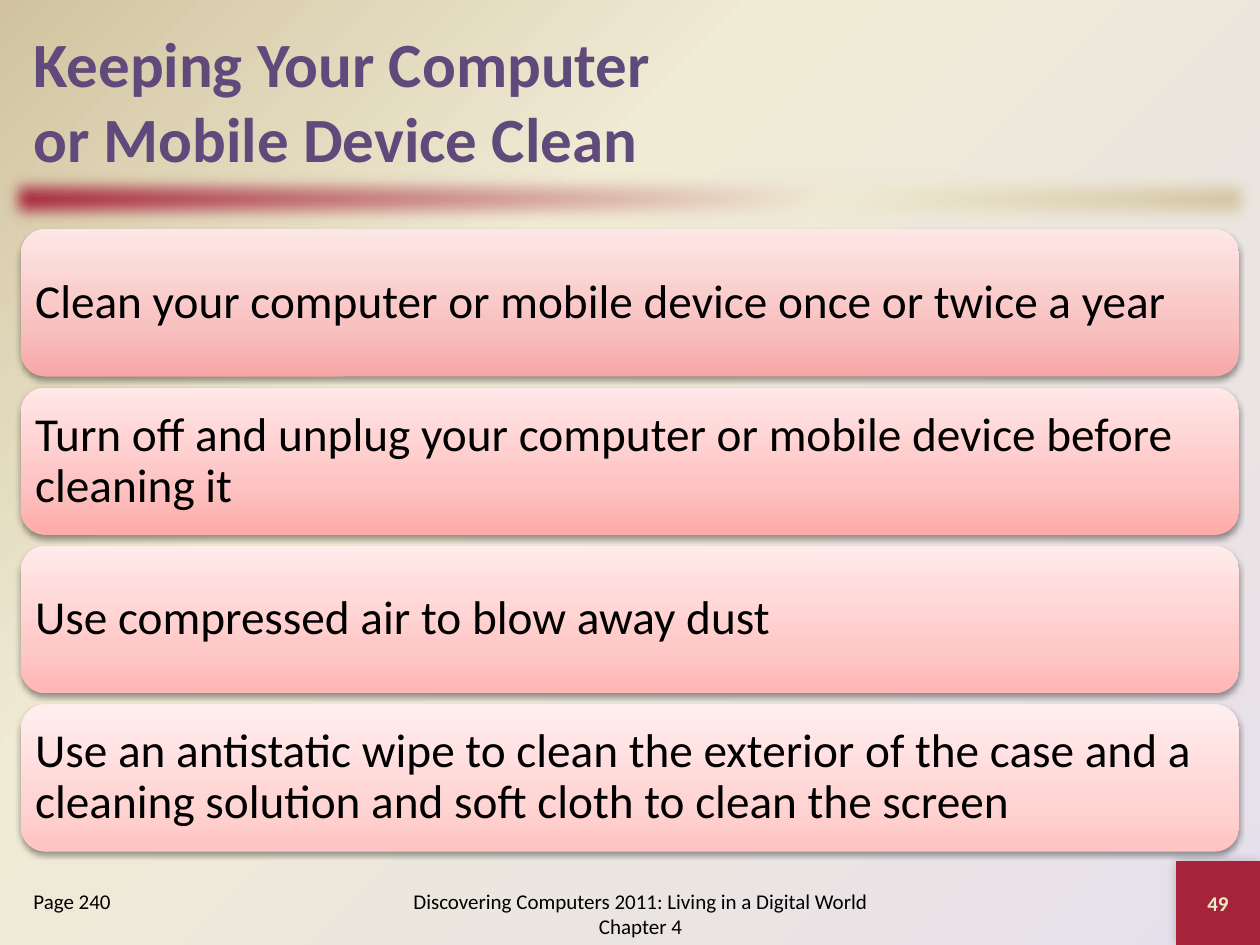
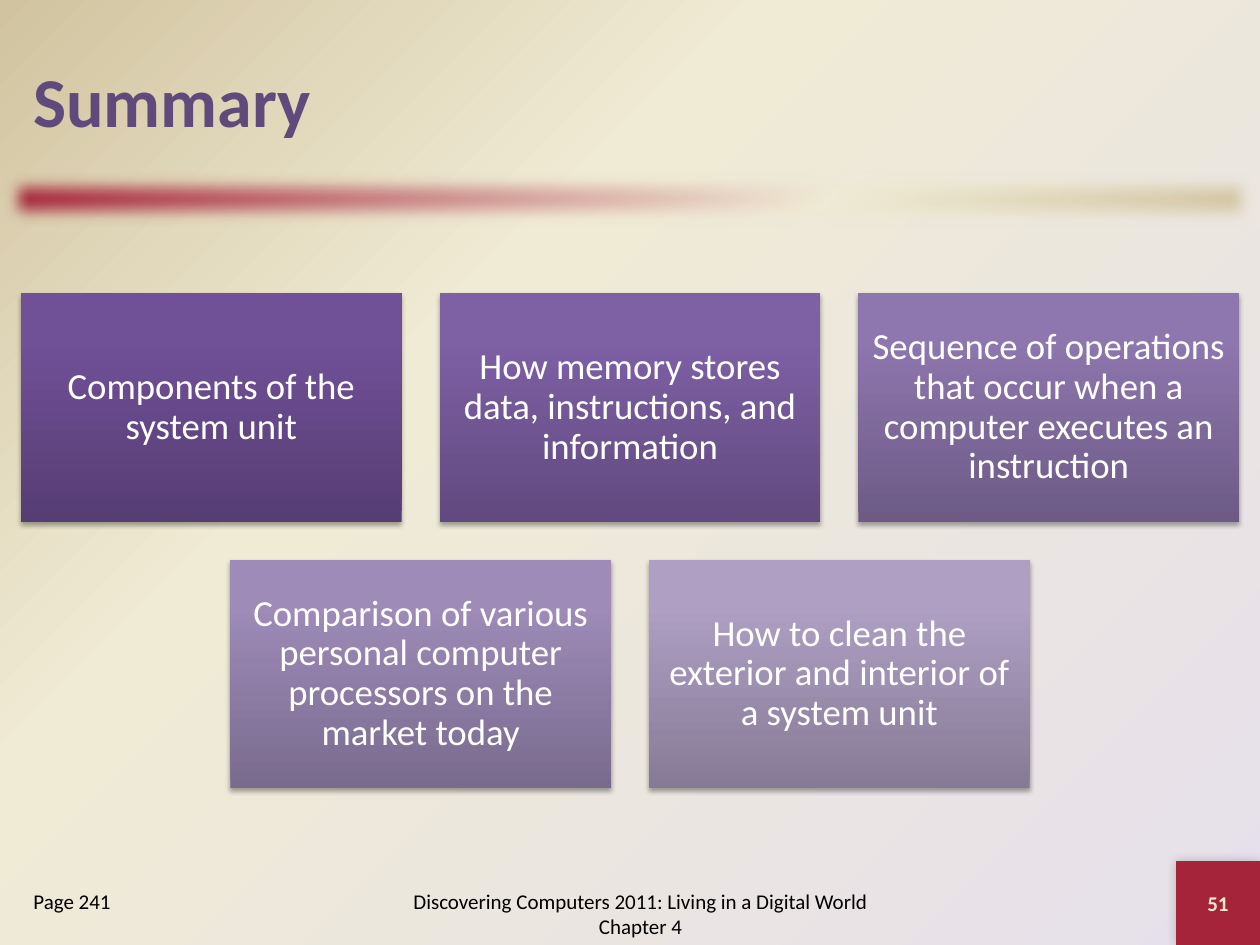
from dataclasses import dataclass

from lxml import etree
from pptx import Presentation
from pptx.dml.color import RGBColor
from pptx.enum.shapes import MSO_SHAPE
from pptx.enum.text import MSO_ANCHOR, PP_ALIGN
from pptx.oxml.ns import qn
from pptx.util import Pt

RECTANGLE, ROUNDED = MSO_SHAPE.RECTANGLE, MSO_SHAPE.ROUNDED_RECTANGLE
TOP, MIDDLE = MSO_ANCHOR.TOP, MSO_ANCHOR.MIDDLE
LEFT, CENTER = PP_ALIGN.LEFT, PP_ALIGN.CENTER

# Shared look
FONT = "Calibri"
PURPLE, RED, CREAM, TAN, LILAC = "604A7B", "A52439", "F0EBD5", "D1C39F", "E6E0EC"
BLACK, WHITE, NUMBER_COLOR = "000000", "FFFFFF", "EEEBCA"
FOOTER = "Discovering Computers 2011: Living in a Digital World Chapter 4"
PAGE_WIDTH, PAGE_HEIGHT = 720, 540
MARGIN = 12
CONTENT_WIDTH = PAGE_WIDTH - 2 * MARGIN


@dataclass
class Area:
    left: float
    top: float
    width: float
    height: float

    def lengths(self) -> tuple:
        return Pt(self.left), Pt(self.top), Pt(self.width), Pt(self.height)


@dataclass
class TextStyle:
    size: float
    color: str = BLACK
    bold: bool = False
    align: PP_ALIGN = LEFT
    anchor: MSO_ANCHOR = MIDDLE
    spacing: float = 1.0


@dataclass
class Shadow:
    opacity: int
    blur: float
    distance: float
    direction: int


@dataclass
class Panel:
    text: str
    shades: tuple  # bottom, middle and top colours


BODY = TextStyle(27, spacing=0.9)
CARD = TextStyle(21, WHITE, align=CENTER, spacing=0.9)
FOOTER_STYLE = TextStyle(12, align=CENTER)
PAGE_STYLE = TextStyle(12, anchor=TOP)
NUMBER_STYLE = TextStyle(12, NUMBER_COLOR, bold=True, align=CENTER)

CLEANING_TIPS = [
    Panel("Clean your computer or mobile device once or twice a year",
          ("F6A7A6", "F8C2C1", "FDE7E6")),
    Panel("Turn off and unplug your computer or mobile device before cleaning it",
          ("FEABA9", "FDC4C3", "FFE8E7")),
    Panel("Use compressed air to blow away dust",
          ("FFB6B4", "FFCBCA", "FFEBEA")),
    Panel("Use an antistatic wipe to clean the exterior of the case and a cleaning "
          "solution and soft cloth to clean the screen",
          ("FFC4C3", "FFD5D4", "FFEEEE")),
]
SUMMARY_TOPICS = [
    Panel("Components of the system unit", ("563D74", "705097", "704F99")),
    Panel("How memory stores data, instructions, and information",
          ("614A7F", "7E60A5", "7F60A7")),
    Panel("Sequence of operations that occur when a computer executes an instruction",
          ("6D5B86", "8E76AE", "8E75B0")),
    Panel("Comparison of various personal computer processors on the market today",
          ("796B8E", "9E8BB8", "9E8BBA")),
    Panel("How to clean the exterior and interior of a system unit",
          ("867B96", "AE9FC3", "AE9FC4")),
]


def rgb(color: str) -> RGBColor:
    return RGBColor.from_string(color)


def add_child(parent, tag: str, **attributes):
    return etree.SubElement(parent, qn(tag), {k: str(v) for k, v in attributes.items()})


def fill_gradient(fill, root, colors: tuple, middle: int, angle: int) -> None:
    """Three-stop linear gradient; the angle runs counter-clockwise."""
    fill.gradient()
    fill.gradient_angle = angle
    stops = next(root.iter(qn("a:gsLst")))
    for stop in list(stops):
        stops.remove(stop)
    for position, color in zip((0, middle, 100), colors):
        stop = add_child(stops, "a:gs", pos=position * 1000)
        add_child(stop, "a:srgbClr", val=color)


def add_plain_shape(page, kind, area: Area):
    shape = page.shapes.add_shape(kind, *area.lengths())
    shape.line.fill.background()
    shape.shadow.inherit = False
    return shape


def effects_of(shape):
    return shape._element.spPr.find(qn("a:effectLst"))


def add_shadow(shape, shadow: Shadow) -> None:
    outer = add_child(effects_of(shape), "a:outerShdw", blurRad=Pt(shadow.blur),
                      dist=Pt(shadow.distance), dir=shadow.direction * 60000,
                      rotWithShape=0)
    color = add_child(outer, "a:srgbClr", val=BLACK)
    add_child(color, "a:alpha", val=shadow.opacity * 1000)


def write(shape, text: str, style: TextStyle, inset: float = None) -> None:
    frame = shape.text_frame
    frame.word_wrap = True
    frame.vertical_anchor = style.anchor
    if inset is not None:
        frame.margin_left = frame.margin_right = Pt(inset)
        frame.margin_top = frame.margin_bottom = Pt(inset)
    para = frame.paragraphs[0]
    para.text = text
    para.alignment = style.align
    para.line_spacing = style.spacing
    para.font.name = FONT
    para.font.size = Pt(style.size)
    para.font.bold = style.bold
    para.font.color.rgb = rgb(style.color)


def add_text(page, area: Area, text: str, style: TextStyle) -> None:
    write(page.shapes.add_textbox(*area.lengths()), text, style)


def add_panel(page, kind, area: Area, panel: Panel, middle: int, shadow: Shadow,
              style: TextStyle, inset: float) -> None:
    shape = add_plain_shape(page, kind, area)
    fill_gradient(shape.fill, shape._element, panel.shades, middle, 90)
    add_shadow(shape, shadow)
    write(shape, panel.text, style, inset)


def add_page(deck, title: str, title_size: int, page_label: str, number: str):
    page = deck.slides.add_slide(deck.slide_layouts[6])
    fill_gradient(page.background.fill, page._element, (TAN, CREAM, LILAC), 35, 315)

    # Soft-edged band under the title
    band = add_plain_shape(page, RECTANGLE, Area(0, 96, PAGE_WIDTH, 36))
    fill_gradient(band.fill, band._element, (RED, CREAM, TAN), 65, 315)
    add_child(effects_of(band), "a:softEdge", rad=Pt(10))

    # Number tile in the corner
    tile = add_plain_shape(page, RECTANGLE,
                           Area(PAGE_WIDTH - 48, PAGE_HEIGHT - 48, 48, 48))
    tile.fill.solid()
    tile.fill.fore_color.rgb = rgb(RED)
    add_shadow(tile, Shadow(20, 6, 0, 225))
    write(tile, number, NUMBER_STYLE)

    # Title and footer
    add_text(page, Area(MARGIN, 12, CONTENT_WIDTH, 90), title,
             TextStyle(title_size, PURPLE, bold=True))
    add_text(page, Area(216, 504, 300, 36), FOOTER, FOOTER_STYLE)
    add_text(page, Area(MARGIN, 504, 132, 36), page_label, PAGE_STYLE)
    return page


def build_cleaning_page(deck) -> None:
    page = add_page(deck, "Keeping Your Computer\vor Mobile Device Clean", 36,
                    "Page 240", "49")
    top, height, step = 131, 84.2, 90.5
    for row, tip in enumerate(CLEANING_TIPS):
        area = Area(MARGIN, top + row * step, CONTENT_WIDTH, height)
        add_panel(page, ROUNDED, area, tip, 35, Shadow(38, 3.1, 1.6, 90), BODY, 4)


def build_summary_page(deck) -> None:
    page = add_page(deck, "Summary", 40, "Page 241", "51")
    columns, width, height, gap, top = 3, 217.5, 130.5, 21.75, 167.6
    for start in range(0, len(SUMMARY_TOPICS), columns):
        row = SUMMARY_TOPICS[start:start + columns]
        left = (PAGE_WIDTH - len(row) * (width + gap) + gap) / 2  # centred row
        row_top = top + start // columns * (height + gap)
        for column, topic in enumerate(row):
            area = Area(left + column * (width + gap), row_top, width, height)
            add_panel(page, RECTANGLE, area, topic, 80, Shadow(35, 3.1, 1.8, 90),
                      CARD, 6.5)


def main() -> None:
    deck = Presentation()
    deck.slide_width, deck.slide_height = Pt(PAGE_WIDTH), Pt(PAGE_HEIGHT)
    build_cleaning_page(deck)
    build_summary_page(deck)
    deck.save("out.pptx")


if __name__ == "__main__":
    main()
